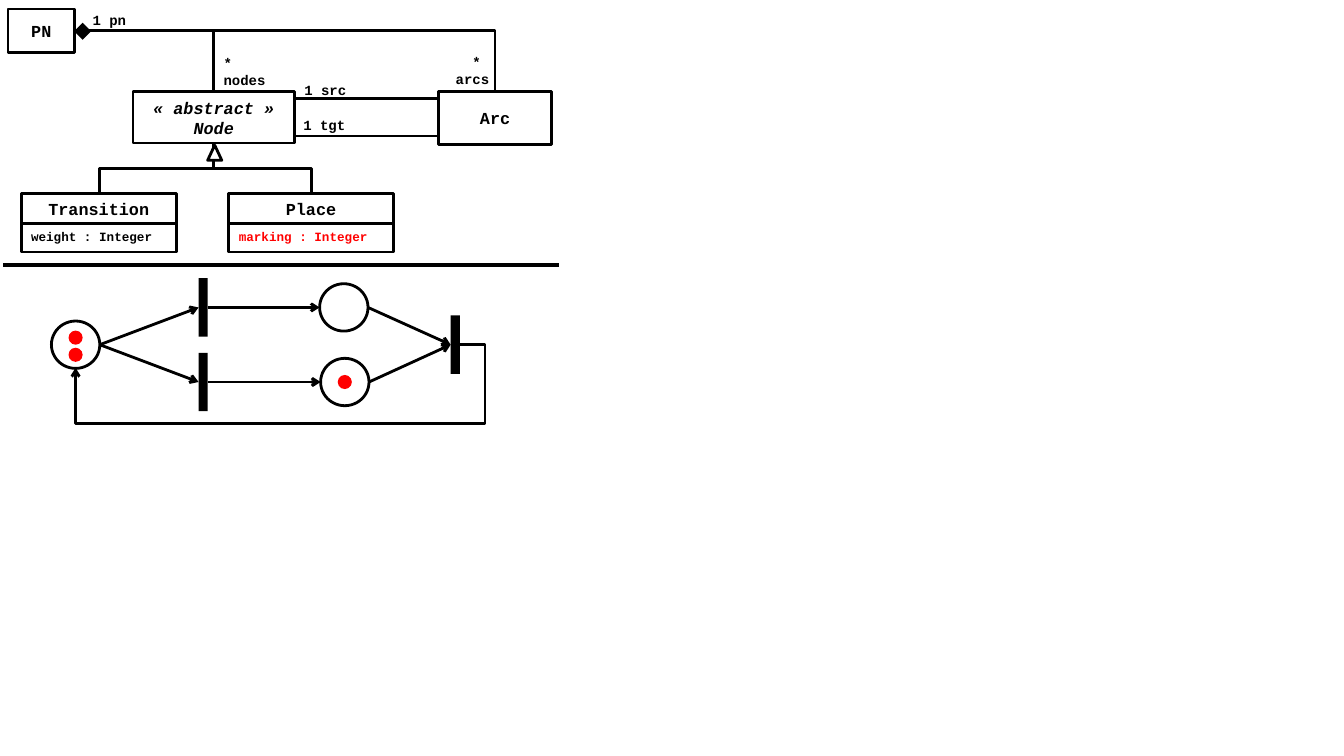
"""Draw a Petri net metamodel above a sample net."""
from dataclasses import dataclass
from typing import NamedTuple, Optional

from lxml.etree import SubElement
from pptx import Presentation
from pptx.dml.color import RGBColor
from pptx.enum.shapes import MSO_CONNECTOR as Link, MSO_SHAPE as Form
from pptx.enum.text import MSO_ANCHOR as Anchor, PP_ALIGN as Align
from pptx.oxml.ns import qn
from pptx.util import Inches, Pt


@dataclass(frozen=True)
class Theme:
    font: str = "Courier New"
    ink: RGBColor = RGBColor(0, 0, 0)
    paper: RGBColor = RGBColor(255, 255, 255)
    accent: RGBColor = RGBColor(255, 0, 0)
    class_size: int = 12
    role_size: int = 10
    field_size: int = 9
    stroke: int = 2
    divider: int = 3


THEME = Theme()
COLUMNS, ROWS = 133.3, 75
CELL = Inches(0.1)


class Point(NamedTuple):
    col: float
    row: float


class Area(NamedTuple):
    col: float
    row: float
    cols: float
    rows: float


@dataclass(frozen=True)
class Label:
    area: Area
    lines: tuple[str, ...]
    size: int = THEME.class_size
    align: Align = Align.CENTER
    anchor: Anchor = Anchor.MIDDLE
    color: RGBColor = THEME.ink
    italic: bool = False


@dataclass(frozen=True)
class Wire:
    start: Point
    end: Point
    bend: str = ""
    upright: bool = False
    adjust: tuple[int, ...] = ()
    arrow: bool = False
    width: int = THEME.stroke


@dataclass(frozen=True)
class Node:
    center: Point
    is_place: bool
    tokens: tuple[float, ...] = ()

    @property
    def half(self) -> float:
        return 2.4 if self.is_place else 0.45

    @property
    def entry(self) -> Point:
        return Point(self.center.col - self.half, self.center.row)

    @property
    def leave(self) -> Point:
        return Point(self.center.col + self.half, self.center.row)


def grid(*cells: float) -> list[int]:
    """Turn grid cells into slide lengths."""
    return [round(cell * CELL) for cell in cells]


def around(center: Point, cols: float, rows: float) -> Area:
    """Return the area of a given size around a center."""
    return Area(center.col - cols / 2, center.row - rows / 2, cols, rows)


def write(frame, label: Label) -> None:
    """Fill a text frame with the lines of a label."""
    layout = {"word_wrap": True, "vertical_anchor": label.anchor}
    style = {"name": THEME.font, "size": Pt(label.size), "bold": True, "italic": label.italic}
    for key, value in layout.items():
        setattr(frame, key, value)
    for index, line in enumerate(label.lines):
        paragraph = frame.add_paragraph() if index else frame.paragraphs[0]
        paragraph.alignment = label.align
        run = paragraph.add_run()
        run.text = line
        for key, value in style.items():
            setattr(run.font, key, value)
        run.font.color.rgb = label.color


def draw_form(shapes, form: Form, area: Area, fill: Optional[RGBColor] = None,
              outlined: bool = True, turn: float = 0):
    """Draw a preset shape, outlined or filled."""
    shape = shapes.add_shape(form, *grid(*area))
    shape.shadow.inherit = False
    shape.rotation = turn
    if fill is None:
        shape.fill.background()
    else:
        shape.fill.solid()
        shape.fill.fore_color.rgb = fill
    if outlined:
        shape.line.color.rgb = THEME.ink
        shape.line.width = Pt(THEME.stroke)
    else:
        shape.line.fill.background()
    return shape


def draw_box(shapes, label: Label) -> None:
    """Draw an outlined compartment with its text."""
    write(draw_form(shapes, Form.RECTANGLE, label.area).text_frame, label)


def draw_role(shapes, label: Label) -> None:
    """Draw the name of an association end."""
    write(shapes.add_textbox(*grid(*label.area)).text_frame, label)


def draw_wire(shapes, wire: Wire) -> None:
    """Draw a straight or bent connector."""
    start, end = wire.start, wire.end
    if wire.upright:
        mid = Point((start.col + end.col) / 2, (start.row + end.row) / 2)
        start, end = (Point(mid.col + p.row - mid.row, mid.row - p.col + mid.col)
                      for p in (start, end))
    kind = Link.ELBOW if wire.bend else Link.STRAIGHT
    connector = shapes.add_connector(kind, *grid(*start, *end))
    connector.line.color.rgb = THEME.ink
    connector.line.width = Pt(wire.width)
    properties = connector.element.spPr
    if wire.upright:
        properties.find(qn("a:xfrm")).set("rot", str(90 * 60000))
    if wire.bend:
        geometry = properties.find(qn("a:prstGeom"))
        geometry.set("prst", wire.bend)
        for number, value in enumerate(wire.adjust, 1):
            SubElement(geometry.find(qn("a:avLst")), qn("a:gd"),
                       name=f"adj{number}", fmla=f"val {value}")
    if wire.arrow:
        SubElement(properties.find(qn("a:ln")), qn("a:tailEnd"), type="arrow")
    SubElement(properties, qn("a:effectLst"))


def draw_node(shapes, node: Node) -> None:
    """Draw a place with its tokens, or a transition bar."""
    if not node.is_place:
        draw_form(shapes, Form.RECTANGLE, around(node.center, 0.9, 5.8), THEME.ink, False)
        return
    draw_form(shapes, Form.OVAL, around(node.center, 4.8, 4.7))
    for offset in node.tokens:
        spot = Point(node.center.col, node.center.row + offset)
        draw_form(shapes, Form.OVAL, around(spot, 1.4, 1.4), THEME.accent, False)


FIELD = {"size": THEME.field_size, "align": Align.LEFT, "anchor": Anchor.TOP}
ROLE = {"size": THEME.role_size, "align": Align.LEFT, "anchor": Anchor.TOP}
BOXES = (
    Label(Area(0.8, 0.9, 6.6, 4.3), ("PN",)),
    Label(Area(13.2, 9.1, 16, 5.1), ("« abstract »", "Node"), italic=True),
    Label(Area(43.5, 9.1, 11.2, 5.2), ("Arc",)),
    Label(Area(2.1, 19.2, 15.4, 3), ("Transition",)),
    Label(Area(2.1, 22.2, 15.4, 2.8), ("weight : Integer",), **FIELD),
    Label(Area(22.7, 19.2, 16.3, 3), ("Place",)),
    Label(Area(22.7, 22.2, 16.3, 2.8), ("marking : Integer",), color=THEME.accent, **FIELD),
)
ROLES = (
    Label(Area(8.2, 0.7, 6.2, 2.7), ("1 pn",), **ROLE),
    Label(Area(29.2, 7.6, 6.7, 2.7), ("1 src",), **ROLE),
    Label(Area(29.1, 11.1, 6.5, 2.7), ("1 tgt",), **ROLE),
    Label(Area(21.2, 4.9, 6.6, 4.4), ("*", "nodes"), **ROLE),
    Label(Area(43.9, 4.8, 5.6, 4.4), ("* ", "arcs"), **{**ROLE, "align": Align.RIGHT}),
)
OWNER, PARENT = Point(7.3, 3), Point(21.2, 14.2)
RELATIONS = (
    *(Wire(OWNER, Point(col, 9.1), "bentConnector2") for col in (21.2, 49.1)),
    *(Wire(Point(43.6, row), Point(29.4, row)) for row in (9.8, 13.5)),
    *(Wire(Point(col, 19.2), PARENT, "bentConnector3", True) for col in (9.9, 30.9)),
    Wire(Point(0.3, 26.3), Point(55.4, 26.3), width=THEME.divider),
)
UPPER, MIDDLE, LOWER = 30.5, 34.2, 37.9
SOURCE = Node(Point(7.5, MIDDLE), True, (-0.7, 1))
FORKS = tuple(Node(Point(20.15, row), False) for row in (UPPER, LOWER))
STEPS = (Node(Point(34.1, UPPER), True), Node(Point(34.2, LOWER), True, (0,)))
JOIN = Node(Point(45.15, MIDDLE), False)
FLOWS = (*((SOURCE, fork) for fork in FORKS), *zip(FORKS, STEPS),
         *((step, JOIN) for step in STEPS))
RETURN = Wire(JOIN.leave, Point(SOURCE.center.col, 36.5), "bentConnector4",
              adjust=(-6600, 339400), arrow=True)


def main() -> None:
    """Build and save the slide."""
    deck = Presentation()
    deck.slide_width, deck.slide_height = grid(COLUMNS, ROWS)
    shapes = deck.slides.add_slide(deck.slide_layouts[6]).shapes
    for wire in RELATIONS:
        draw_wire(shapes, wire)
    for box in BOXES:
        draw_box(shapes, box)
    for role in ROLES:
        draw_role(shapes, role)
    draw_form(shapes, Form.RECTANGLE, Area(7.6, 2.5, 1.2, 1.2), THEME.ink, False, 45)
    draw_form(shapes, Form.ISOSCELES_TRIANGLE, Area(20.6, 14.4, 1.4, 1.5), THEME.paper)
    for node in (SOURCE, *FORKS, *STEPS, JOIN):
        draw_node(shapes, node)
    for giver, taker in FLOWS:
        draw_wire(shapes, Wire(giver.leave, taker.entry, arrow=True))
    draw_wire(shapes, RETURN)
    deck.save("out.pptx")


if __name__ == "__main__":
    main()
